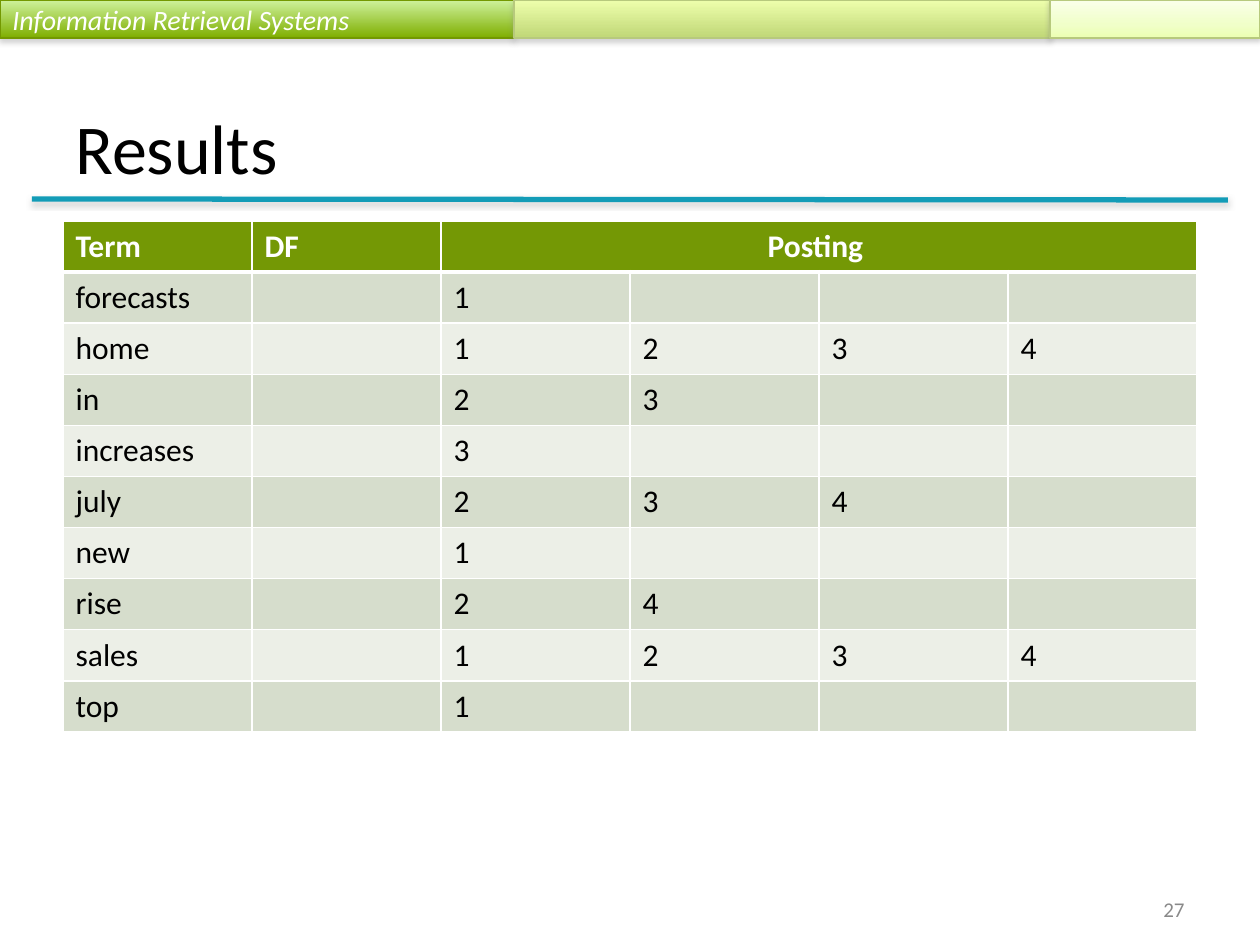
from copy import deepcopy

from lxml import etree
from pptx import Presentation
from pptx.dml.color import RGBColor
from pptx.enum.shapes import MSO_CONNECTOR, MSO_SHAPE
from pptx.enum.text import MSO_ANCHOR, PP_ALIGN
from pptx.oxml.ns import qn
from pptx.util import Emu, Pt

LEFT, CENTER, RIGHT = PP_ALIGN.LEFT, PP_ALIGN.CENTER, PP_ALIGN.RIGHT
MIDDLE, BOTTOM = MSO_ANCHOR.MIDDLE, MSO_ANCHOR.BOTTOM
RECTANGLE, STRAIGHT = MSO_SHAPE.RECTANGLE, MSO_CONNECTOR.STRAIGHT

PX_PER_INCH = 126
FONT = "Calibri"
COLORS = {
    "white": "FFFFFF",
    "black": "000000",
    "page_number": "898989",
    "rule": "139CB7",
    "shadow": "808080",
    "header": "749805",
    "odd_row": "D6DDCC",
    "even_row": "ECEFE7",
    "dark_edge": "739801",
    "light_edge": "B7C97D",
}

# left, width, edge colour, gradient stops, shadow opacity, shadow distance
BANDS = [
    (0, 514, "dark_edge", [(0, "CEF29D"), (1, "7FAE00")], 35, 1.8),
    (514, 536, "light_edge", [(0, "EEFFAC"), (1, "C0D777")], 35, 1.8),
    (1050, 210, "light_edge",
     [(0, "FAFFE9"), (0.65, "F0FFC9"), (1, "ECFFB3")], 38, 1.6),
]
BAND_HEIGHT = 38

COLUMNS = 6
HEADINGS = ["Term", "DF", "Posting "]
POSTINGS = {
    "forecasts": [1],
    "home": [1, 2, 3, 4],
    "in": [2, 3],
    "increases": [3],
    "july": [2, 3, 4],
    "new": [1],
    "rise": [2, 4],
    "sales": [1, 2, 3, 4],
    "top": [1],
}


def px(length):
    return Emu(round(length * 914400 / PX_PER_INCH))


def color(name):
    return RGBColor.from_string(COLORS[name])


def write(frame, text, size, color_name, align=LEFT, bold=False, italic=False):
    paragraph = frame.paragraphs[0]
    paragraph.alignment = align
    run = paragraph.add_run()
    run.text = text
    font = run.font
    font.name, font.size = FONT, Pt(size)
    font.bold, font.italic = bold, italic
    font.color.rgb = color(color_name)


def add_shadow(properties, opacity, distance):
    """Put a soft downward shadow into the effect list, made if missing."""
    effects = properties.find(qn("a:effectLst"))
    if effects is None:
        effects = etree.SubElement(properties, qn("a:effectLst"))
    outer = etree.SubElement(
        effects, qn("a:outerShdw"), blurRad=str(Pt(3.1)),
        dist=str(Pt(distance)), dir="5400000", rotWithShape="0")
    tone = etree.SubElement(outer, qn("a:srgbClr"), val=COLORS["shadow"])
    etree.SubElement(tone, qn("a:alpha"), val=str(opacity * 1000))


def fill_gradient(fill, stops):
    """Fill from top to bottom with any number of stops."""
    fill.gradient()
    fill.gradient_angle = 270
    stop_list = fill._fill._gradFill.find(qn("a:gsLst"))
    for _ in stops[2:]:
        stop_list.append(deepcopy(stop_list[0]))
    for stop, (position, hex_value) in zip(fill.gradient_stops, stops):
        stop.position = position
        stop.color.rgb = RGBColor.from_string(hex_value)


def add_band(slide, left, width, edge, stops, opacity, distance):
    band = slide.shapes.add_shape(
        RECTANGLE, px(left), 0, px(width), px(BAND_HEIGHT))
    fill_gradient(band.fill, stops)
    band.line.color.rgb = color(edge)
    band.line.width = Pt(0.75)
    band.shadow.inherit = False
    add_shadow(band._element.spPr, opacity, distance)
    band.text_frame.vertical_anchor = MIDDLE
    return band


def add_rule(slide):
    rule = slide.shapes.add_connector(
        STRAIGHT, px(32), px(199), px(1228), px(200))
    rule.line.color.rgb = color("rule")
    rule.line.width = Pt(3)
    add_shadow(rule._element.spPr, 38, 1.6)


def add_text(slide, box, anchor, text, size, color_name, align=LEFT):
    frame = slide.shapes.add_textbox(*map(px, box)).text_frame
    frame.word_wrap = True
    frame.vertical_anchor = anchor
    write(frame, text, size, color_name, align)


def set_borders(cell, top, bottom):
    """Draw white cell borders; top and bottom are widths in points."""
    properties = cell._tc.get_or_add_tcPr()
    widths = {"a:lnL": 1, "a:lnR": 1, "a:lnT": top, "a:lnB": bottom}
    for index, (tag, width) in enumerate(widths.items()):
        line = etree.Element(qn(tag), w=str(Pt(width)))
        solid = etree.SubElement(line, qn("a:solidFill"))
        etree.SubElement(solid, qn("a:srgbClr"), val=COLORS["white"])
        properties.insert(index, line)


def add_postings_table(slide):
    rows = [HEADINGS] + [[term, "", *map(str, documents)]
                         for term, documents in POSTINGS.items()]
    width, height = px(1134), px(511)
    table = slide.shapes.add_table(
        len(rows), COLUMNS, px(63), px(221), width, height).table
    for column in table.columns:
        column.width = width // COLUMNS
    for row in table.rows:
        row.height = height // len(rows)
    table.cell(0, 2).merge(table.cell(0, COLUMNS - 1))

    for r, texts in enumerate(rows):
        is_header = r == 0
        fill = "header" if is_header else ("even_row", "odd_row")[r % 2]
        for c in range(COLUMNS):
            cell = table.cell(r, c)
            cell.fill.solid()
            cell.fill.fore_color.rgb = color(fill)
            set_borders(cell, 3 if r == 1 else 1, 3 if is_header else 1)
            if c < len(texts) and texts[c]:
                write(cell.text_frame, texts[c], 18,
                      "white" if is_header else "black",
                      CENTER if is_header and c == 2 else LEFT,
                      bold=is_header)


def main():
    presentation = Presentation()
    presentation.slide_width = px(1260)
    presentation.slide_height = px(945)
    slide = presentation.slides.add_slide(presentation.slide_layouts[6])

    course_band, *_ = [add_band(slide, *band) for band in BANDS]
    write(course_band.text_frame, "Information Retrieval Systems", 16,
          "white", italic=True)
    add_rule(slide)
    add_text(slide, (63, 38, 1134, 157), BOTTOM, "Results", 40, "black")
    add_postings_table(slide)
    add_text(slide, (903, 892, 294, 34), MIDDLE, "27", 12, "page_number",
             RIGHT)
    presentation.save("out.pptx")


if __name__ == "__main__":
    main()
